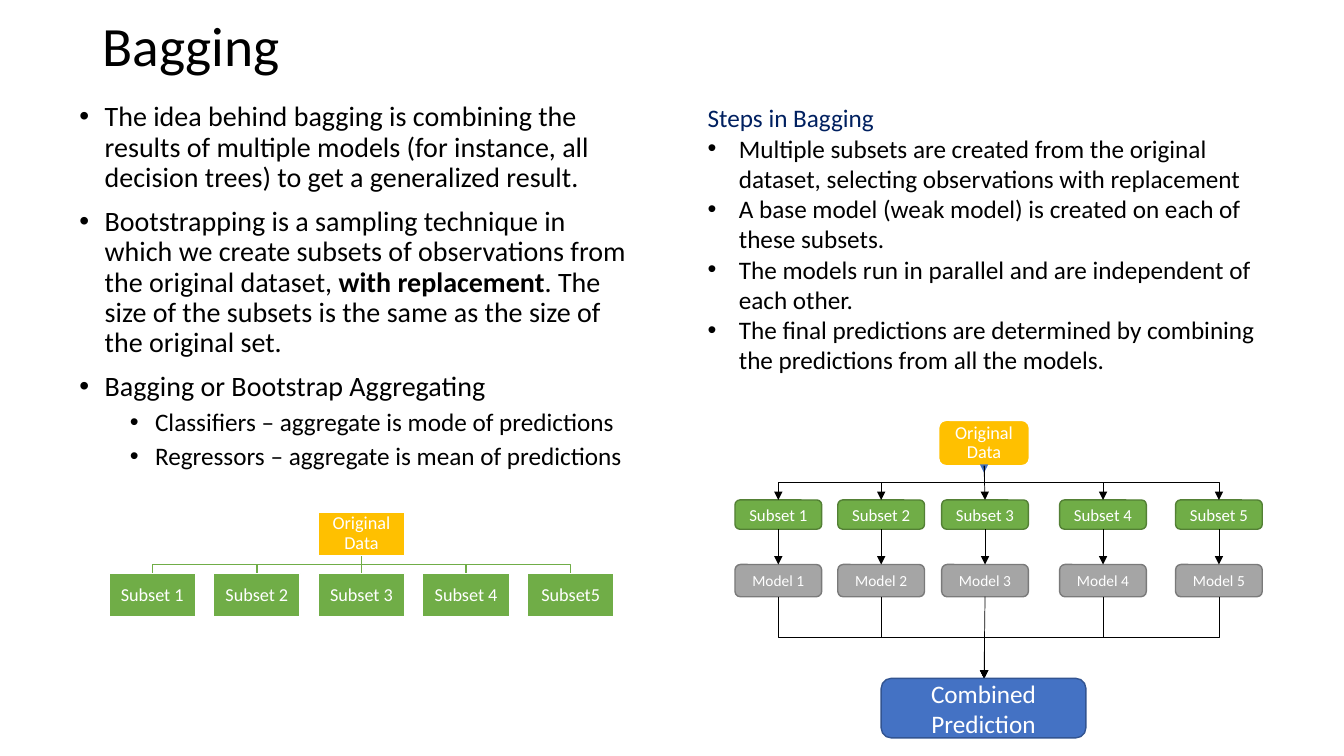
from dataclasses import dataclass

from lxml import etree
from pptx import Presentation
from pptx.dml.color import RGBColor
from pptx.enum import shapes, text
from pptx.oxml import ns
from pptx.util import Inches, Pt


@dataclass(frozen=True)
class Theme:
    """Colours, font and type sizes of the deck."""
    font: str = "Calibri"
    ink: str = "000000"
    white: str = "FFFFFF"
    navy: str = "002060"
    gold: str = "FFC000"
    green: str = "70AD47"
    green_edge: str = "538035"
    grey: str = "A5A5A5"
    grey_edge: str = "7A7A7A"
    blue: str = "4472C4"
    blue_edge: str = "325491"
    title: float = 39.6
    body: float = 20
    detail: float = 18
    data: float = 13
    subset: float = 12
    model: float = 11


THEME = Theme()
RECT = shapes.MSO_SHAPE.RECTANGLE
ROUND = shapes.MSO_SHAPE.ROUNDED_RECTANGLE
IDEAS = [
    (0, ["The idea behind bagging is combining the results of multiple models "
         "(for instance, all decision trees) to get a generalized result."]),
    (0, ["Bootstrapping is a sampling technique in which we create subsets of "
         "observations from the original dataset, ", "with replacement",
         ". The size of the subsets is the same as the size of the original set."]),
    (0, ["Bagging or Bootstrap Aggregating"]),
    (1, ["Classifiers – aggregate is mode of predictions"]),
    (1, ["Regressors – aggregate is mean of predictions"]),
]
STEPS = [
    "Multiple subsets are created from the original dataset, selecting observations with replacement",
    "A base model (weak model) is created on each of these subsets.",
    "The models run in parallel and are independent of each other.",
    "The final predictions are determined by combining the predictions from all the models.",
]


def rgb(value):
    """Turn a hex string into a colour."""
    return RGBColor.from_string(value)


def style(para, size, color):
    """Set the font of a whole paragraph."""
    para.font.name, para.font.size = THEME.font, Pt(size)
    para.font.color.rgb = rgb(color)


def bullet(para, left, hang):
    """Give a paragraph a round bullet with a hanging indent."""
    props = para._p.get_or_add_pPr()
    props.set("marL", str(Inches(left)))
    props.set("indent", str(-Inches(hang)))
    etree.SubElement(props, ns.qn("a:buFont")).set("typeface", "Arial")
    etree.SubElement(props, ns.qn("a:buChar")).set("char", "•")


def text_frame(page, box):
    """Add a wrapping text box and return its frame."""
    frame = page.shapes.add_textbox(*map(Inches, box)).text_frame
    frame.word_wrap = True
    return frame


def node(page, kind, box, label, size, fill, edge, pad=0.01, spacing=None):
    """Add a labelled box of a diagram."""
    shape = page.shapes.add_shape(kind, *map(Inches, box))
    shape.shadow.inherit = False
    shape.fill.solid()
    shape.fill.fore_color.rgb = rgb(fill)
    shape.line.color.rgb, shape.line.width = rgb(edge), Pt(1)
    frame = shape.text_frame
    frame.word_wrap, frame.vertical_anchor = True, text.MSO_ANCHOR.MIDDLE
    frame.margin_left = frame.margin_right = Inches(pad)
    frame.margin_top = frame.margin_bottom = Inches(0.01)
    para = frame.paragraphs[0]
    para.text, para.alignment = label, text.PP_ALIGN.CENTER
    para.line_spacing = spacing
    style(para, size, THEME.white)


def link(page, start, end, color=THEME.ink, width=0.5, arrow=True):
    """Join two points downwards, bending halfway when they are not aligned."""
    (x1, y1), (x2, y2) = start, end
    bent = abs(x2 - x1) > 0.02
    if bent:
        drop, shift = (y2 - y1) / 2, abs(x2 - x1) / 2
        side = drop if x2 > x1 else -drop
        middle, level = (x1 + x2) / 2, (y1 + y2) / 2
        ends = middle + side, level - shift, middle - side, level + shift
        kind = shapes.MSO_CONNECTOR.ELBOW
    else:
        ends, kind = (x1, y1, x2, y2), shapes.MSO_CONNECTOR.STRAIGHT
    line = page.shapes.add_connector(kind, *map(Inches, ends))
    props = line._element.spPr
    if bent:
        props.find(ns.qn("a:xfrm")).set("rot", str((270 if x2 > x1 else 90) * 60000))
    line.line.color.rgb, line.line.width = rgb(color), Pt(width)
    if arrow:
        etree.SubElement(props.find(ns.qn("a:ln")), ns.qn("a:tailEnd")).set("type", "triangle")
    etree.SubElement(props, ns.qn("a:effectLst"))


def heading(page, box):
    """Add the slide title."""
    frame = text_frame(page, box)
    frame.vertical_anchor = text.MSO_ANCHOR.MIDDLE
    para = frame.paragraphs[0]
    para.text, para.line_spacing = "Bagging", 0.9
    style(para, THEME.title, THEME.ink)


def ideas(page, box):
    """Add the two-level list that explains bagging."""
    frame = text_frame(page, box)
    for index, (level, parts) in enumerate(IDEAS):
        para = frame.add_paragraph() if index else frame.paragraphs[0]
        para.level = level
        bullet(para, 0.25 + 0.5 * level, 0.25)
        para.line_spacing, para.space_before = 0.9, Pt(5 if level else 10)
        style(para, THEME.detail if level else THEME.body, THEME.ink)
        for order, part in enumerate(parts):
            span = para.add_run()
            span.text = part
            if order == 1:
                span.font.bold = True


def steps(page, box):
    """Add the steps under their own heading."""
    frame = text_frame(page, box)
    frame.paragraphs[0].text = "Steps in Bagging"
    style(frame.paragraphs[0], THEME.detail, THEME.navy)
    for step in STEPS:
        para = frame.add_paragraph()
        para.text = step
        bullet(para, 0.31, 0.31)
        style(para, THEME.detail, THEME.ink)


def subset_tree(page, box):
    """Add the tree that splits the data into five subsets."""
    left, top, width, height = box
    wide, tall, count = 0.86, 0.43, 5
    pitch = (width - wide) / (count - 1)
    center, row = left + width / 2, top + height - tall
    for index in range(count):
        x = left + index * pitch
        link(page, (center, top + tall), (x + wide / 2, row), THEME.green, 1, False)
        label = "Subset5" if index == 4 else f"Subset {index + 1}"
        node(page, RECT, (x, row, wide, tall), label, THEME.data,
             THEME.green, THEME.white, spacing=0.9)
    node(page, RECT, (center - wide / 2, top, wide, tall), "Original Data", THEME.data,
         THEME.gold, THEME.white, spacing=0.9)


def bagging_flow(page, box):
    """Add the flow from the data through subsets and models to one prediction."""
    left, top, width, height = box
    wide, center = 0.86, left + 2.47
    subset_top, model_top, end_top = top + 0.79, top + 1.43, top + height - 0.59
    data_bottom = top + 0.45
    node(page, ROUND, (center - 0.45, top, 0.9, 0.45), "Original Data", THEME.data,
         THEME.gold, THEME.white, spacing=0.9)
    link(page, (center, data_bottom), (center, data_bottom + 0.07), THEME.blue)
    for number, offset in enumerate((0, 1.02, 2.05, 3.22, width - wide), 1):
        x = left + offset
        middle = x + wide / 2
        node(page, ROUND, (x, subset_top, wide, 0.29), f"Subset {number}", THEME.subset,
             THEME.green, THEME.green_edge)
        node(page, ROUND, (x, model_top, wide, 0.32), f"Model {number}", THEME.model,
             THEME.grey, THEME.grey_edge)
        link(page, (center, data_bottom), (middle, subset_top))
        link(page, (middle, subset_top + 0.29), (middle, model_top))
        link(page, (middle, model_top + 0.32), (center, end_top))
    node(page, ROUND, (center - 1.02, end_top, 2.03, 0.59), "Combined Prediction",
         THEME.detail, THEME.blue, THEME.blue_edge, pad=0.1)


deck = Presentation()
deck.slide_width, deck.slide_height = Inches(13.33), Inches(7.5)
page = deck.slides.add_slide(deck.slide_layouts[6])
heading(page, (0.92, 0.22, 11.5, 0.52))
ideas(page, (0.69, 0.97, 5.67, 3.85))
subset_tree(page, (1.08, 5.08, 5.01, 1.04))
bagging_flow(page, (7.29, 4.17, 5.23, 3.15))
steps(page, (6.92, 0.97, 5.67, 2.83))
deck.save("out.pptx")
